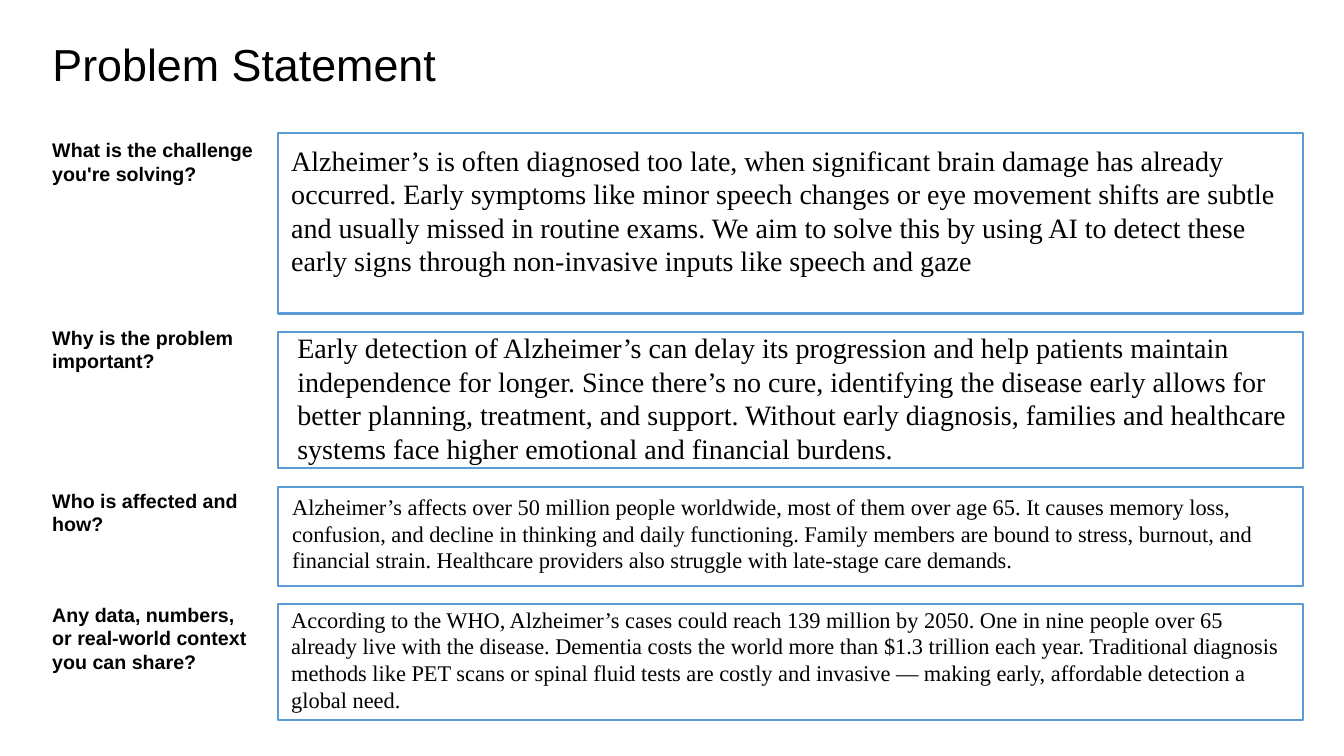
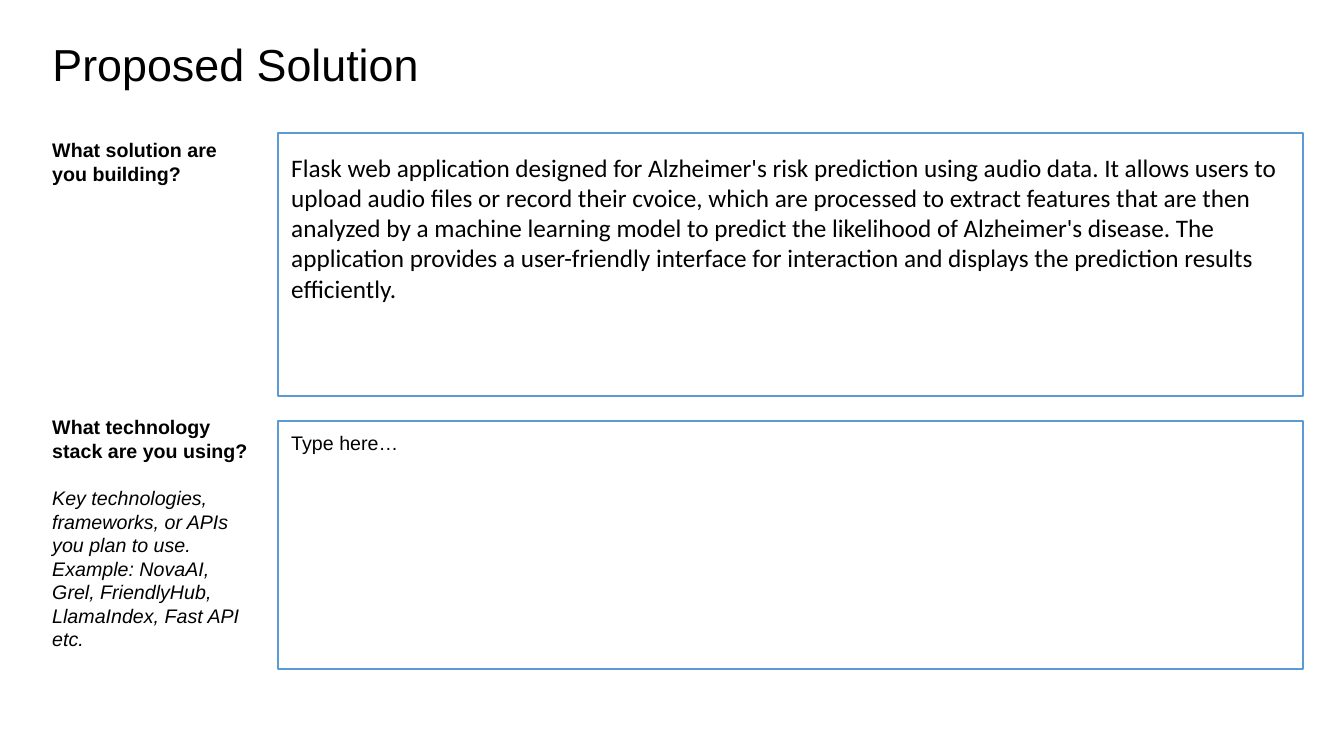
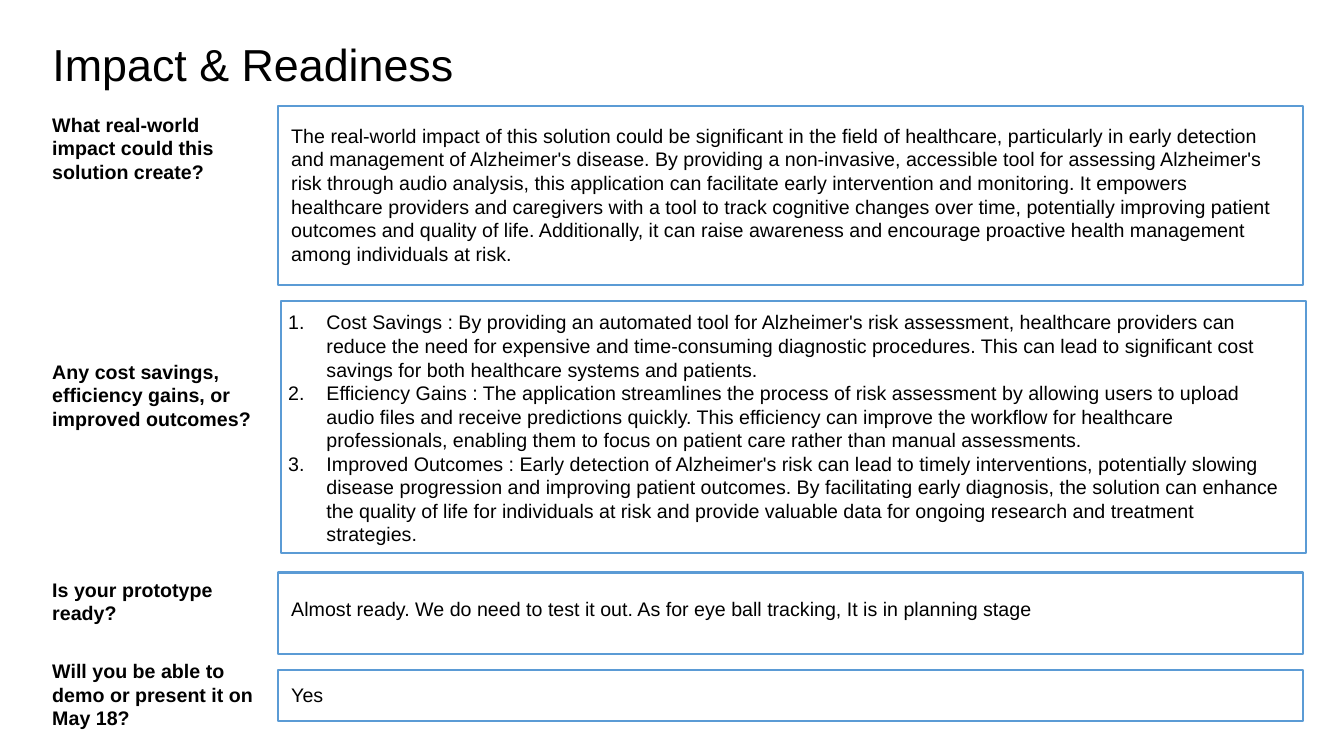
from dataclasses import dataclass

from lxml.etree import SubElement
from pptx import Presentation
from pptx.dml.color import RGBColor
from pptx.enum.shapes import MSO_SHAPE
from pptx.enum.text import MSO_ANCHOR, MSO_AUTO_SIZE, PP_ALIGN
from pptx.oxml.ns import qn
from pptx.util import Inches, Pt

# Shared style
COLORS = {"text": "000000", "frame": "5B9BD5", "background": "FFFFFF"}
SANS, SERIF, BODY = "Arial", "Times New Roman", "Calibri"
TITLE_SIZE, LABEL_SIZE = 32, 14
TITLE_ONLY = 5

# Shared columns, in inches
LABEL_LEFT, LABEL_WIDTH = 0.42, 2.2
FRAME_LEFT, FRAME_WIDTH = 2.76, 10.16
ANSWER_WIDTH = 10.05
NUMBER_INDENT = 0.38


@dataclass
class Row:
    """A question and its framed answer; shifts are measured from the frame's corner."""
    question: str
    answers: list
    top: float
    height: float
    label_shift: float = 0
    text_shift: tuple = (0.03, 0.05)
    frame_shift: float = 0
    font: str = SANS
    size: int = 14
    hint: str = ""
    numbered: bool = False


def color(name):
    return RGBColor.from_string(COLORS[name])


def format_paragraph(paragraph, font=SANS, size=LABEL_SIZE, bold=False, italic=False):
    paragraph.font.name = font
    paragraph.font.size = Pt(size)
    paragraph.font.bold = bold
    paragraph.font.italic = italic
    paragraph.font.color.rgb = color("text")


def number_paragraph(paragraph):
    properties = paragraph._p.get_or_add_pPr()
    properties.set("marL", str(Inches(NUMBER_INDENT)))
    properties.set("indent", str(-Inches(NUMBER_INDENT)))
    SubElement(properties, qn("a:buAutoNum"), type="arabicPeriod")


def add_text(slide, left, top, width, height, texts):
    """Add a wrapping text box and return its paragraphs."""
    box = slide.shapes.add_textbox(Inches(left), Inches(top), Inches(width), Inches(height))
    frame = box.text_frame
    frame.word_wrap = True
    frame.auto_size = MSO_AUTO_SIZE.SHAPE_TO_FIT_TEXT
    frame.text = "\n".join(texts)
    return frame.paragraphs


def add_label(slide, row):
    texts = [row.question, row.hint] if row.hint else [row.question]
    question, *hints = add_text(slide, LABEL_LEFT, row.top + row.label_shift,
                                LABEL_WIDTH, 0.57, texts)
    format_paragraph(question, bold=True)
    for hint in hints:
        format_paragraph(hint, italic=True)
        hint.space_before = Pt(17)


def add_frame(slide, row):
    frame = slide.shapes.add_shape(
        MSO_SHAPE.RECTANGLE, Inches(FRAME_LEFT + row.frame_shift), Inches(row.top),
        Inches(FRAME_WIDTH), Inches(row.height))
    frame.shadow.inherit = False
    frame.fill.background()
    frame.line.color.rgb = color("frame")
    frame.line.width = Pt(1.5)


def add_answer(slide, row):
    shift_x, shift_y = row.text_shift
    paragraphs = add_text(slide, FRAME_LEFT + shift_x, row.top + shift_y,
                          ANSWER_WIDTH, 0.34, row.answers)
    for paragraph in paragraphs:
        format_paragraph(paragraph, row.font, row.size)
        if row.numbered:
            number_paragraph(paragraph)


def add_title(slide, text):
    title = slide.shapes.title
    title.left, title.top = Inches(0.42), Inches(0.27)
    title.width, title.height = Inches(4.68), Inches(0.78)
    frame = title.text_frame
    frame.text = text
    frame.word_wrap = True
    frame.auto_size = MSO_AUTO_SIZE.NONE
    frame.vertical_anchor = MSO_ANCHOR.MIDDLE
    paragraph = frame.paragraphs[0]
    paragraph.alignment = PP_ALIGN.LEFT
    paragraph.line_spacing = 0.9
    format_paragraph(paragraph, size=TITLE_SIZE)


def add_question_slide(presentation, title, rows):
    slide = presentation.slides.add_slide(presentation.slide_layouts[TITLE_ONLY])
    slide.background.fill.solid()
    slide.background.fill.fore_color.rgb = color("background")
    add_title(slide, title)
    for row in rows:
        add_label(slide, row)
        add_frame(slide, row)
        add_answer(slide, row)


# Content
PROBLEM_ROWS = [
    Row("What is the challenge you're solving?",
        ["Alzheimer’s is often diagnosed too late, when significant brain damage has already "
         "occurred. Early symptoms like minor speech changes or eye movement shifts are subtle "
         "and usually missed in routine exams. We aim to solve this by using AI to detect these "
         "early signs through non-invasive inputs like speech and gaze"],
        top=1.32, height=1.79, font=SERIF, size=20),
    Row("Why is the problem important?",
        ["Early detection of Alzheimer’s can delay its progression and help patients maintain "
         "independence for longer. Since there’s no cure, identifying the disease early allows "
         "for better planning, treatment, and support. Without early diagnosis, families and "
         "healthcare systems face higher emotional and financial burdens."],
        top=3.29, height=1.35, label_shift=-0.11, text_shift=(0.09, -0.06),
        font=SERIF, size=20),
    Row("Who is affected and how?",
        ["Alzheimer’s affects over 50 million people worldwide, most of them over age 65. It "
         "causes memory loss, confusion, and decline in thinking and daily functioning. Family "
         "members are bound to stress, burnout, and financial strain. Healthcare providers also "
         "struggle with late-stage care demands."],
        top=4.83, height=0.98, label_shift=-0.03, text_shift=(0.04, 0.01),
        font=SERIF, size=16),
    Row("Any data, numbers, or real-world context you can share?",
        ["According to the WHO, Alzheimer’s cases could reach 139 million by 2050. One in nine "
         "people over 65 already live with the disease. Dementia costs the world more than $1.3 "
         "trillion each year. Traditional diagnosis methods like PET scans or spinal fluid tests "
         "are costly and invasive — making early, affordable detection a global need."],
        top=5.99, height=1.15, label_shift=-0.06, text_shift=(0.03, -0.03),
        font=SERIF, size=16),
]

SOLUTION_ROWS = [
    Row("What solution are you building?",
        ["Flask web application designed for Alzheimer's risk prediction using audio data. It "
         "allows users to upload audio files or record their cvoice, which are processed to "
         "extract features that are then analyzed by a machine learning model to predict the "
         "likelihood of Alzheimer's disease. The application provides a user-friendly interface "
         "for interaction and displays the prediction results efficiently."],
        top=1.32, height=2.61, text_shift=(0.03, 0.14), font=BODY, size=18),
    Row("What technology stack are you using?", ["Type here…"],
        top=4.18, height=2.46, label_shift=-0.11,
        hint="Key technologies, frameworks, or APIs you plan to use. Example: NovaAI, Grel, "
             "FriendlyHub, LlamaIndex, Fast API etc."),
]

IMPACT_ROWS = [
    Row("What real-world impact could this solution create?",
        ["The real-world impact of this solution could be significant in the field of "
         "healthcare, particularly in early detection and management of Alzheimer's disease. By "
         "providing a non-invasive, accessible tool for assessing Alzheimer's risk through audio "
         "analysis, this application can facilitate early intervention and monitoring. It "
         "empowers healthcare providers and caregivers with a tool to track cognitive changes "
         "over time, potentially improving patient outcomes and quality of life. Additionally, "
         "it can raise awareness and encourage proactive health management among individuals at "
         "risk."],
        top=1.05, height=1.78, label_shift=0.02, text_shift=(0.03, 0.13)),
    Row("Any cost savings, efficiency gains, or improved outcomes?",
        ["Cost Savings : By providing an automated tool for Alzheimer's risk assessment, "
         "healthcare providers can reduce the need for expensive and time-consuming diagnostic "
         "procedures. This can lead to significant cost savings for both healthcare systems and "
         "patients.",
         "Efficiency Gains : The application streamlines the process of risk assessment by "
         "allowing users to upload audio files and receive predictions quickly. This efficiency "
         "can improve the workflow for healthcare professionals, enabling them to focus on "
         "patient care rather than manual assessments.",
         "Improved Outcomes : Early detection of Alzheimer's risk can lead to timely "
         "interventions, potentially slowing disease progression and improving patient outcomes. "
         "By facilitating early diagnosis, the solution can enhance the quality of life for "
         "individuals at risk and provide valuable data for ongoing research and treatment "
         "strategies."],
        top=2.99, height=2.5, label_shift=0.53, text_shift=(0, 0.04), frame_shift=0.03,
        numbered=True),
    Row("Is your prototype ready?",
        ["Almost ready. We do need to test it out. As for eye ball tracking, It is in planning "
         "stage"],
        top=5.68, height=0.81, text_shift=(0.03, 0.19)),
    Row("Will you be able to demo or present it on May 18?", ["Yes"],
        top=6.65, height=0.5, label_shift=-0.16, text_shift=(0.03, 0.08)),
]


def main():
    presentation = Presentation()
    presentation.slide_width = Inches(13.33)
    presentation.slide_height = Inches(7.5)
    add_question_slide(presentation, "Problem Statement", PROBLEM_ROWS)
    add_question_slide(presentation, "Proposed Solution", SOLUTION_ROWS)
    add_question_slide(presentation, "Impact & Readiness", IMPACT_ROWS)
    presentation.save("out.pptx")


if __name__ == "__main__":
    main()
